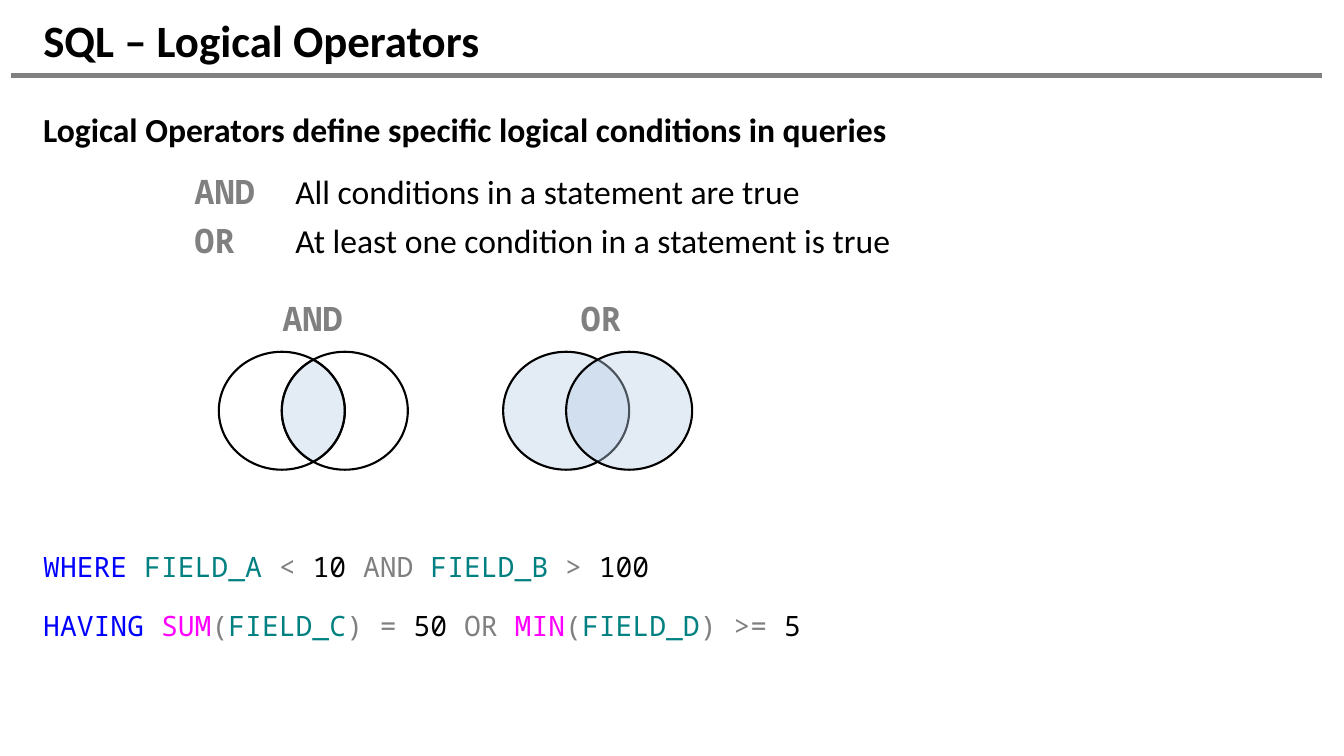
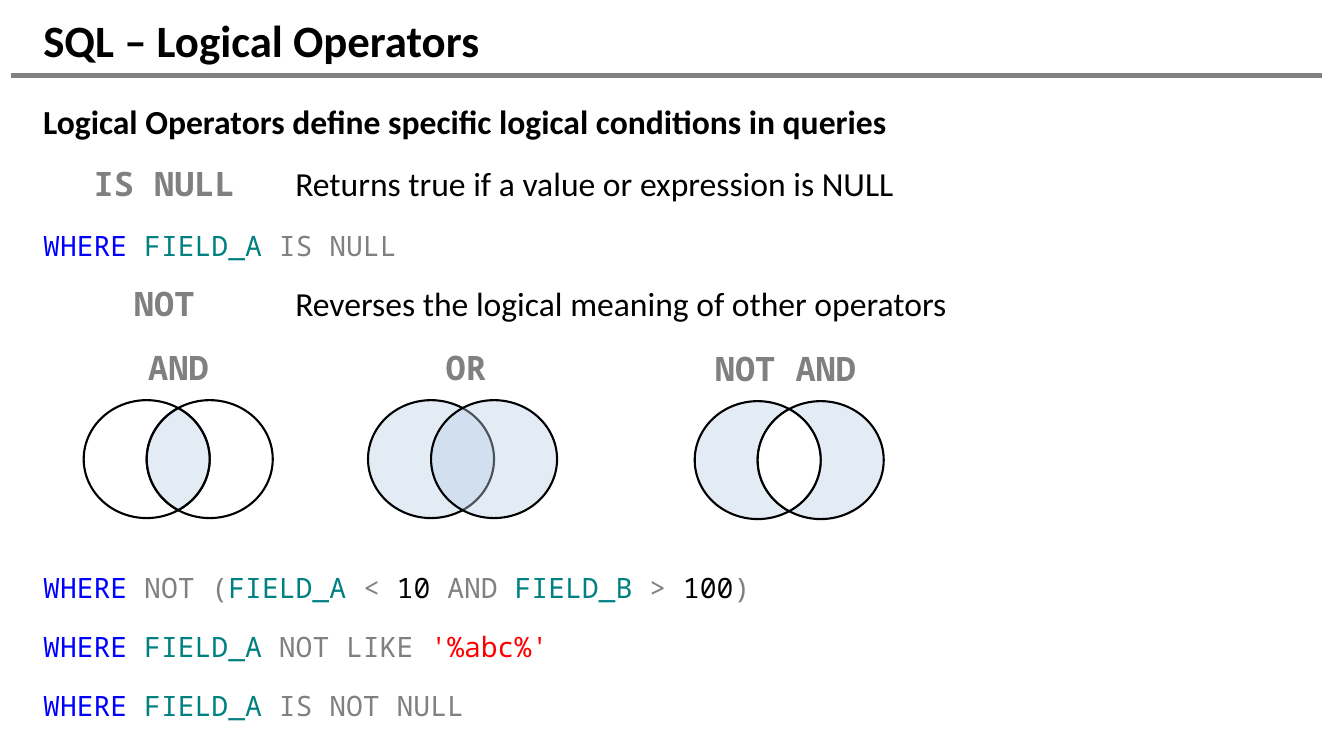
"""Build two slides explaining the SQL logical operators."""
from math import cos, radians, sin

from lxml import etree
from pptx import Presentation
from pptx.dml.color import RGBColor
from pptx.enum.shapes import MSO_CONNECTOR, MSO_SHAPE
from pptx.enum.text import MSO_ANCHOR, PP_ALIGN
from pptx.oxml.ns import qn
from pptx.util import Inches, Pt

OVAL = MSO_SHAPE.OVAL
STRAIGHT = MSO_CONNECTOR.STRAIGHT
MIDDLE = MSO_ANCHOR.MIDDLE
LEFT, CENTER = PP_ALIGN.LEFT, PP_ALIGN.CENTER
SANS, MONO = "Calibri", "Noto Sans Mono"
COLORS = {
    "text": "000000",
    "operator": "808080",
    "keyword": "0000FF",
    "field": "008080",
    "function": "FF00FF",
    "string": "FF0000",
    "tint": "B9CDE5",
    "white": "FFFFFF",
}
TITLE = "SQL – Logical Operators"
HEADING = "Logical Operators define specific logical conditions in queries"
CIRCLE_WIDTH, CIRCLE_HEIGHT = 1.25, 1.17
LABEL_WIDTH, LABEL_RISE = 1.8, 0.58
DESCRIPTION_TAB = 2.5

COMPARISON = [("field", "FIELD_A "), ("operator", "<"), ("text", " 10 "),
              ("operator", "AND "), ("field", "FIELD_B "), ("operator", ">"),
              ("text", " 100")]
WHERE = ("keyword", "WHERE ")
WHERE_FIELD = [WHERE, ("field", "FIELD_A ")]

SLIDES = [
    {
        "top": 1.08,
        "intro": [
            ("term", 18, 1.5, "AND", "All conditions in a statement are true"),
            ("term", 9, 1.5, "OR", "At least one condition in a statement is true"),
        ],
        "venns": [("AND", 2.17, 3.49, 3.1), ("OR", 4.99, 3.49, 5.96)],
        "code_top": 5.4,
        "code": [
            [WHERE] + COMPARISON,
            [("keyword", "HAVING "), ("function", "SUM"), ("operator", "("),
             ("field", "FIELD_C"), ("operator", ") ="), ("text", " 50 "),
             ("operator", "OR "), ("function", "MIN"), ("operator", "("),
             ("field", "FIELD_D"), ("operator", ") >="), ("text", " 5")],
        ],
    },
    {
        "top": 1,
        "intro": [
            ("term", 18, 0.5, "IS NULL", "Returns true if a value or expression is NULL"),
            ("code", 18, WHERE_FIELD + [("operator", "IS NULL")]),
            ("term", 18, 0.9, "NOT", "Reverses the logical meaning of other operators"),
        ],
        "venns": [("AND", 0.83, 3.97, 1.77), ("OR", 3.65, 3.97, 4.62),
                  ("NOT AND", 6.89, 3.98, 7.79)],
        "code_top": 5.61,
        "code": [
            [WHERE, ("operator", "NOT (")] + COMPARISON + [("operator", ")")],
            WHERE_FIELD + [("operator", "NOT LIKE "), ("string", "'%abc%'")],
            WHERE_FIELD + [("operator", "IS NOT NULL")],
        ],
    },
]


def add_span(para, text, size, font, color, bold=False):
    span = para.add_run()
    span.text = text
    span.font.size = Pt(size)
    span.font.name = font
    span.font.bold = bold
    span.font.color.rgb = RGBColor.from_string(COLORS[color])


def style_shape(shape, fill, alpha=None):
    shape.shadow.inherit = False
    shape.line.color.rgb = RGBColor.from_string(COLORS["text"])
    shape.line.width = Pt(1.5)
    if fill is None:
        shape.fill.background()
        return
    shape.fill.solid()
    shape.fill.fore_color.rgb = RGBColor.from_string(COLORS[fill])
    if alpha is not None:
        color = shape.fill._xPr.find(".//" + qn("a:srgbClr"))
        etree.SubElement(color, qn("a:alpha"), val=str(alpha * 1000))


deck = Presentation()
deck.slide_width, deck.slide_height = Inches(13.33), Inches(7.5)

for content in SLIDES:
    page = deck.slides.add_slide(deck.slide_layouts[5])
    rule = page.shapes.add_connector(STRAIGHT, Inches(0.11), Inches(0.75),
                                     Inches(13.11), Inches(0.75))
    rule.line.color.rgb = RGBColor.from_string(COLORS["operator"])
    rule.line.width = Pt(3)
    etree.SubElement(rule._element.spPr, qn("a:effectLst"))

    title = page.shapes.title
    title.left, title.top = Inches(0.33), Inches(0.17)
    title.width, title.height = Inches(12.78), Inches(0.45)
    title.text_frame.vertical_anchor = MIDDLE
    para = title.text_frame.paragraphs[0]
    para.alignment = LEFT
    add_span(para, TITLE, 32, SANS, "text", True)

    box = page.shapes.add_textbox(Inches(0.33), Inches(content["top"]),
                                  Inches(9.25), Inches(2.3))
    box.text_frame.word_wrap = True
    para = box.text_frame.paragraphs[0]
    para.line_spacing = 0.9
    add_span(para, HEADING, 24, SANS, "text", True)
    for kind, space, *details in content["intro"]:
        para = box.text_frame.add_paragraph()
        para.space_before = Pt(space)
        if kind == "code":
            for color, text in details[0]:
                add_span(para, text, 20, MONO, color)
            continue
        term_tab, term, description = details
        para.line_spacing = 0.9
        tabs = etree.SubElement(para._p.get_or_add_pPr(), qn("a:tabLst"))
        for position in (term_tab, DESCRIPTION_TAB):
            etree.SubElement(tabs, qn("a:tab"), pos=str(Inches(position)), algn="l")
        add_span(para, f"\t{term}\t", 24, MONO, "operator", True)
        add_span(para, description, 24, SANS, "text")

    for name, left, top, label_center in content["venns"]:
        circle_fill = None if name == "AND" else "tint"
        for circle_left in (left, left + CIRCLE_WIDTH / 2):
            circle = page.shapes.add_shape(OVAL, Inches(circle_left), Inches(top),
                                           Inches(CIRCLE_WIDTH), Inches(CIRCLE_HEIGHT))
            style_shape(circle, circle_fill, 40)

        if name != "OR":
            points = []
            for center, start in ((left + CIRCLE_WIDTH / 2, -60),
                                  (left + CIRCLE_WIDTH, 120)):
                for angle in range(start, start + 121, 4):
                    x = center + CIRCLE_WIDTH / 2 * cos(radians(angle))
                    y = top + CIRCLE_HEIGHT / 2 * (1 + sin(radians(angle)))
                    points.append((Inches(x), Inches(y)))
            outline = page.shapes.build_freeform(*points[0])
            outline.add_line_segments(points[1:], close=True)
            lens = outline.convert_to_shape()
            if name == "AND":
                style_shape(lens, "tint", 40)
            else:
                style_shape(lens, "white")

        label = page.shapes.add_textbox(Inches(label_center - LABEL_WIDTH / 2),
                                        Inches(top - LABEL_RISE),
                                        Inches(LABEL_WIDTH), Inches(0.5))
        label.text_frame.word_wrap = True
        para = label.text_frame.paragraphs[0]
        para.alignment = CENTER
        add_span(para, name, 24, MONO, "operator", True)

    box = page.shapes.add_textbox(Inches(0.33), Inches(content["code_top"]),
                                  Inches(9.25), Inches(1.7))
    box.text_frame.word_wrap = True
    for index, statement in enumerate(content["code"]):
        para = box.text_frame.paragraphs[0]
        if index:
            para = box.text_frame.add_paragraph()
            para.space_before = Pt(18)
        for color, text in statement:
            add_span(para, text, 20, MONO, color)

deck.save("out.pptx")
